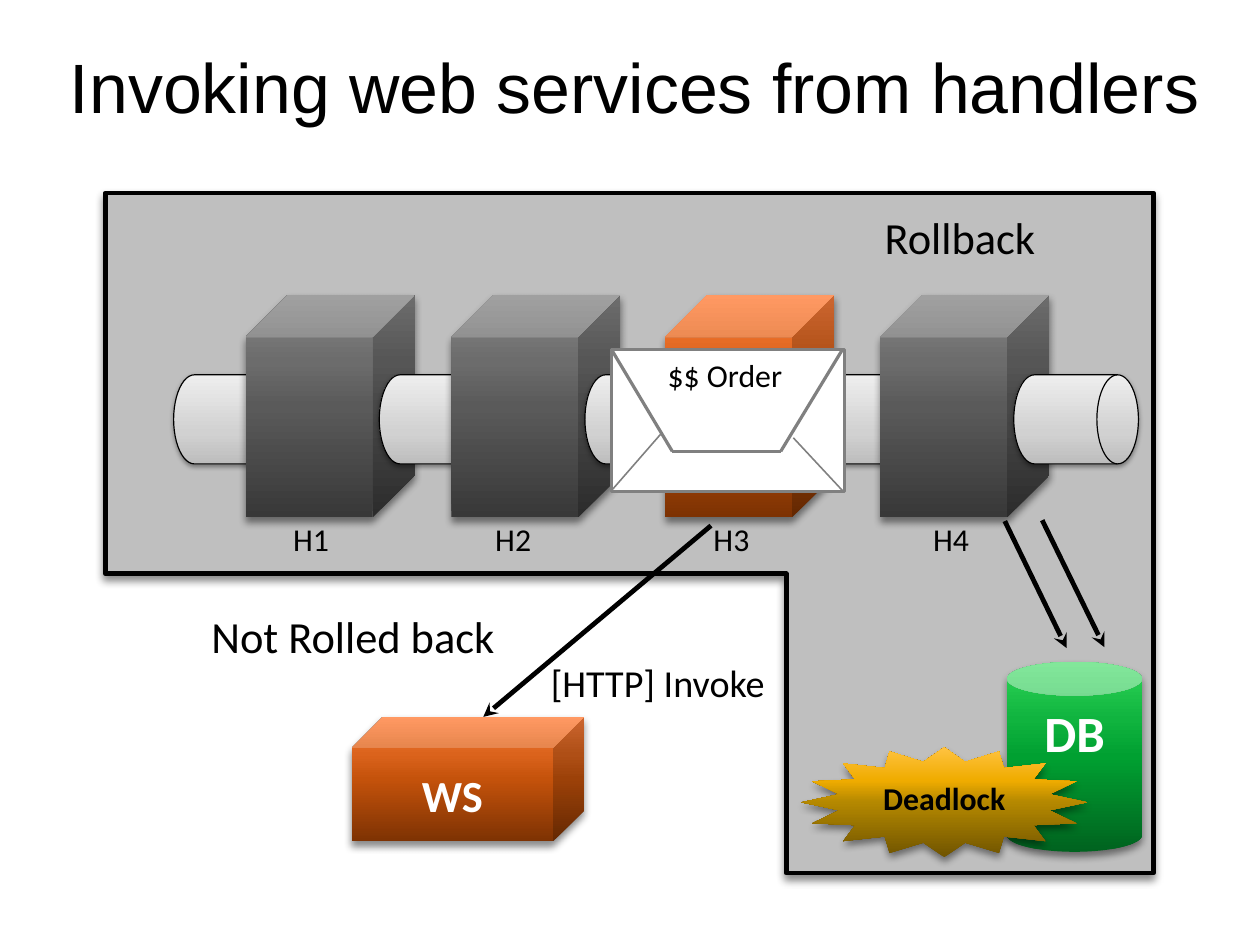
from dataclasses import dataclass

from lxml import etree
from pptx import Presentation
from pptx.dml.color import RGBColor
from pptx.enum.shapes import MSO_CONNECTOR, MSO_SHAPE
from pptx.enum.text import MSO_ANCHOR, MSO_AUTO_SIZE, PP_ALIGN
from pptx.oxml.ns import qn
from pptx.util import Cm, Pt

CORNER, CUBE, CAN = MSO_SHAPE.CORNER, MSO_SHAPE.CUBE, MSO_SHAPE.CAN
DRUM, STAR = MSO_SHAPE.FLOWCHART_DIRECT_ACCESS_STORAGE, MSO_SHAPE.STAR_16_POINT
RECTANGLE, STRAIGHT = MSO_SHAPE.RECTANGLE, MSO_CONNECTOR.STRAIGHT
LEFT, CENTER = PP_ALIGN.LEFT, PP_ALIGN.CENTER
TOP, MIDDLE = MSO_ANCHOR.TOP, MSO_ANCHOR.MIDDLE
NO_FIT, GROW = MSO_AUTO_SIZE.NONE, MSO_AUTO_SIZE.SHAPE_TO_FIT_TEXT


@dataclass(frozen=True)
class Theme:
    black: str = "000000"
    white: str = "FFFFFF"
    zone: str = "BFBFBF"
    envelope: str = "808080"
    # Gradients: position in percent and colour, from bottom to top
    pipe: tuple = ((0, "BDBDBD"), (35, "D1D1D1"), (100, "EEEEEE"))
    grey: tuple = ((0, "383838"), (50, "5A5A5A"), (70, "6C6C6C"), (100, "898989"))
    orange: tuple = ((0, "7D3203"), (50, "C4520B"), (70, "DB631C"), (100, "FF803C"))
    green: tuple = ((0, "00631F"), (50, "00A031"), (70, "10B43F"), (100, "2FD758"))
    gold: tuple = ((0, "705400"), (50, "B48800"), (70, "F0AC00"), (100, "FFC342"))
    # Shadows: opacity in percent, blur and distance in points
    deep: tuple = (45, 5, 3)
    soft: tuple = (38, 3.1, 1.6)
    title_font: str = "Arial"
    body_font: str = "Calibri"
    title: int = 44
    database: int = 32
    heading: int = 28
    call: int = 24
    label: int = 20


theme = Theme()


def write_text(box, text, size=theme.label, color=theme.black, font=theme.body_font,
               bold=False, align=CENTER, anchor=TOP, wrap=True, fit=NO_FIT, spacing=1.0):
    frame = box.text_frame
    frame.word_wrap, frame.auto_size, frame.vertical_anchor = wrap, fit, anchor
    para = frame.paragraphs[0]
    para.alignment, para.line_spacing = align, spacing
    span = para.add_run()
    span.text = text
    span.font.name, span.font.size, span.font.bold = font, Pt(size), bold
    span.font.color.rgb = RGBColor.from_string(color)


def add_figure(shapes, kind, place, fill, line=None, width=1.0, shadow=None):
    figure = shapes.add_shape(kind, *map(Cm, place))
    if isinstance(fill, str):
        figure.fill.solid()
        figure.fill.fore_color.rgb = RGBColor.from_string(fill)
    else:
        figure.fill.gradient()
        figure.fill.gradient_angle = 90
        stops = figure._element.spPr.find(".//" + qn("a:gsLst"))
        stops.clear()
        for position, color in fill:
            stop = etree.SubElement(stops, qn("a:gs"), pos=str(position * 1000))
            etree.SubElement(stop, qn("a:srgbClr"), val=color)
    if line:
        figure.line.color.rgb = RGBColor.from_string(line)
        figure.line.width = Pt(width)
    else:
        figure.line.fill.background()
    figure.shadow.inherit = False
    if shadow:
        opacity, blur, distance = shadow
        effects = figure._element.spPr.find(qn("a:effectLst"))
        outer = etree.SubElement(effects, qn("a:outerShdw"), blurRad=str(Pt(blur)),
                                 dist=str(Pt(distance)), dir="5400000", rotWithShape="0")
        tint = etree.SubElement(outer, qn("a:srgbClr"), val=theme.black)
        etree.SubElement(tint, qn("a:alpha"), val=str(opacity * 1000))
    return figure


deck = Presentation()
deck.slide_width, deck.slide_height = Cm(28), Cm(21)
page = deck.slides.add_slide(deck.slide_layouts[5])

# Title
title = page.shapes.title
title.left, title.top, title.width, title.height = map(Cm, (1.3, 0.99, 26.7, 2.01))
write_text(title, "Invoking web services from handlers", size=theme.title,
           font=theme.title_font, align=LEFT, anchor=MIDDLE, spacing=0.96)

# Rollback zone
zone = add_figure(page.shapes, CORNER, (2.34, 4.29, 23.29, 15.11), theme.zone,
                  line=theme.black, width=3, shadow=theme.deep)
zone.rotation = 180
zone.adjustments[0], zone.adjustments[1] = 0.56, 0.54

# Handler chain: an entry pipe, then a cube, its outgoing pipe and its label
handlers = [
    ("H1", 5.46, 4.83, theme.grey),
    ("H2", 10.03, 9.32, theme.grey),
    ("H3", 14.78, 14.17, theme.orange),
    ("H4", 19.56, 19.05, theme.grey),
]
pipe_style = dict(fill=theme.pipe, line=theme.black, width=0.75, shadow=theme.soft)
add_figure(page.shapes, DRUM, (3.86, 8.33, 2.77, 1.98), **pipe_style)
for name, cube_left, label_left, color in handlers:
    add_figure(page.shapes, CUBE, (cube_left, 6.55, 3.76, 4.95), color, shadow=theme.deep)
    add_figure(page.shapes, DRUM, (cube_left + 2.97, 8.33, 2.77, 1.98), **pipe_style)
    label = page.shapes.add_textbox(Cm(label_left), Cm(11.51), Cm(4.17), Cm(1.04))
    write_text(label, name, fit=GROW, spacing=0.93)

# Web service and database
service = add_figure(page.shapes, CUBE, (7.82, 15.93, 5.16, 2.77), theme.orange,
                     shadow=theme.deep)
write_text(service, "WS", size=theme.heading, color=theme.white, bold=True, anchor=MIDDLE)
database = add_figure(page.shapes, CAN, (22.38, 14.71, 3, 4.22), theme.green,
                      shadow=theme.deep)
write_text(database, "DB", size=theme.database, color=theme.white, bold=True)

# Envelope body
envelope = page.shapes.add_group_shape()
add_figure(envelope.shapes, RECTANGLE, (13.59, 7.77, 5.18, 3.15), theme.white,
           line=theme.envelope, width=2)

# Lines: envelope flap and folds, then call arrows
flap = [(13.59, 7.77), (14.94, 10.03), (17.35, 10.03), (18.72, 7.77)]
folds = [((13.59, 10.9), (14.68, 9.65)), ((17.63, 9.73), (18.72, 10.9))]
calls = [((15.8, 11.68), (10.74, 15.93)), ((22.33, 11.58), (23.7, 14.4)),
         ((23.16, 11.56), (24.54, 14.38))]
line_sets = [
    (envelope.shapes, zip(flap, flap[1:]), theme.envelope, 2, False),
    (envelope.shapes, folds, theme.envelope, 1, False),
    (page.shapes, calls, theme.black, 3, True),
]
for shapes, segments, color, width, arrow in line_sets:
    for start, end in segments:
        connector = shapes.add_connector(STRAIGHT, *map(Cm, start + end))
        connector.line.color.rgb = RGBColor.from_string(color)
        connector.line.width = Pt(width)
        properties = connector._element.spPr
        if arrow:
            etree.SubElement(properties.find(qn("a:ln")), qn("a:tailEnd"), type="stealth")
        etree.SubElement(properties, qn("a:effectLst"))

# Envelope text
order = envelope.shapes.add_textbox(Cm(14.33), Cm(7.77), Cm(3.56), Cm(1.12))
write_text(order, "$$ Order", fit=GROW)

# Deadlock burst
burst = add_figure(page.shapes, STAR, (17.81, 16.61, 6.35, 2.44), theme.gold,
                   shadow=theme.deep)
write_text(burst, "Deadlock", bold=True)

# Captions
captions = [
    ("[HTTP] Invoke", theme.call, (11.99, 14.61, 5.31, 1.27)),
    ("Rollback", theme.heading, (19.41, 4.65, 3.89, 1.45)),
    ("Not Rolled back", theme.heading, (4.45, 13.51, 6.88, 1.45)),
]
for text, size, place in captions:
    caption = page.shapes.add_textbox(*map(Cm, place))
    write_text(caption, text, size=size, align=LEFT, wrap=False, fit=GROW, spacing=0.93)

deck.save("out.pptx")
